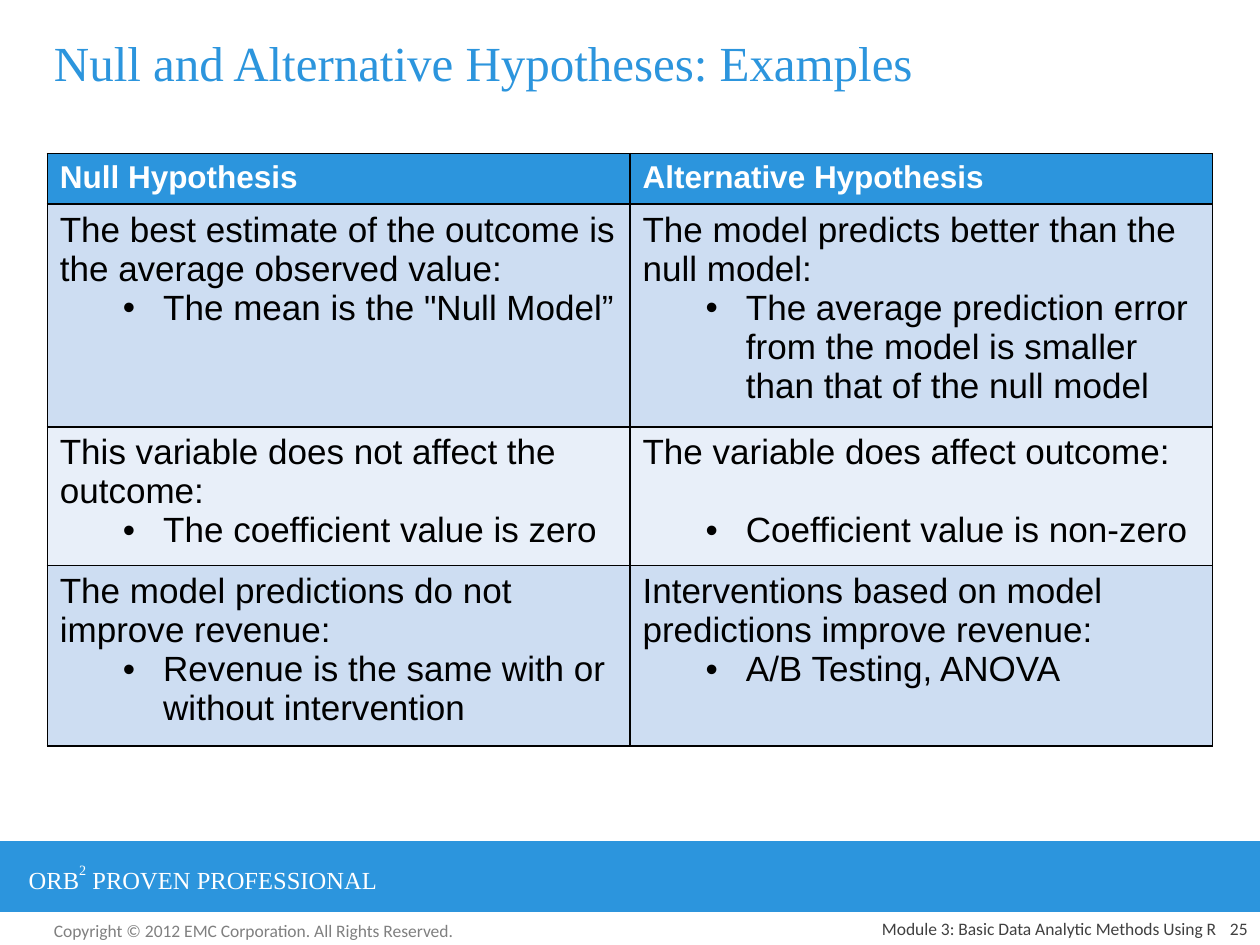
from dataclasses import dataclass

from lxml.etree import SubElement
from pptx import Presentation
from pptx.dml.color import RGBColor
from pptx.enum.shapes import MSO_SHAPE as Shape
from pptx.enum.text import MSO_ANCHOR as Anchor, PP_ALIGN as Align
from pptx.oxml import parse_xml
from pptx.oxml.ns import nsdecls, qn
from pptx.util import Inches, Pt

COLORS = {
    "brand": "2C95DD", "white": "FFFFFF", "black": "000000",
    "copyright": "808080", "footer": "404040",
    "band_dark": "CDDDF2", "band_light": "E8EFF9",
}
SERIF, SANS, FOOTER_FONT = "Times New Roman", "Arial", "Calibri"
BULLET_LEFT, BULLET_HANG = Inches(0.82), Inches(0.32)

HEADINGS = ("Null Hypothesis", "Alternative Hypothesis")
# Each cell: statement, its example, space before the example in points
EXAMPLES = [
    (("The best estimate of the outcome is the average observed value:",
      "The mean is the \"Null Model”", 0),
     ("The model predicts better than the null model:",
      "The average prediction error from the model is smaller than "
      "that of the null model", 0)),
    (("This variable does not affect the outcome:",
      "The coefficient value is zero", 0),
     ("The variable does affect outcome:",
      "Coefficient value is non-zero", 22)),
    (("The model predictions do not improve revenue:",
      "Revenue is the same with or without intervention", 0),
     ("Interventions based on model predictions improve revenue:",
      "A/B Testing, ANOVA", 0)),
]
ROW_HEIGHTS = (0.38, 1.65, 1.03, 1.34)


@dataclass
class Box:
    left: int
    top: int
    width: int
    height: int

    def inner(self, x, y, w, h):
        """Box inside this one, given as shares of its width and height."""
        return Box(int(self.left + x * self.width), int(self.top + y * self.height),
                   int(w * self.width), int(h * self.height))

    def edges(self):
        return self.left, self.top, self.width, self.height


def rgb(name):
    return RGBColor.from_string(COLORS[name])


def style(paragraph, face, size, color, bold=False):
    font = paragraph.font
    font.name, font.size, font.bold = face, Pt(size), bold
    font.color.rgb = rgb(color)


def add_line(slide, box, text, face, size, color, align=Align.LEFT, anchor=Anchor.MIDDLE):
    frame = slide.shapes.add_textbox(*box.edges()).text_frame
    frame.word_wrap = True
    frame.vertical_anchor = anchor
    paragraph = frame.paragraphs[0]
    paragraph.text = text
    paragraph.alignment = align
    style(paragraph, face, size, color)
    return paragraph


def add_brand_band(slide, box):
    band = slide.shapes.add_shape(Shape.RECTANGLE, *box.edges())
    band.shadow.inherit = False
    band.fill.solid()
    band.fill.fore_color.rgb = rgb("brand")
    band.line.fill.background()
    label = add_line(slide, box.inner(0.013, 0.22, 0.4, 0.6), "ORB", SERIF, 14, "white")
    superscript = label.add_run()
    superscript.text = "2"
    superscript.font._element.set("baseline", "56000")
    label.add_run().text = " PROVEN PROFESSIONAL"


def add_footer(slide, box):
    add_line(slide, box.inner(0.033, 0, 0.35, 1.08),
             "Copyright © 2012 EMC Corporation. All Rights Reserved.",
             FOOTER_FONT, 10, "copyright")
    for x, width, text in ((0.517, 0.458, "Module 3: Basic Data Analytic Methods Using R"),
                           (0.95, 0.05, "25")):
        add_line(slide, box.inner(x, 0, width, 1), text, FOOTER_FONT, 10, "footer",
                 Align.RIGHT, Anchor.BOTTOM)


def finish_cell(cell, fill):
    """Fill the cell and draw its black one-point borders."""
    cell.fill.solid()
    cell.fill.fore_color.rgb = rgb(fill)
    properties = cell._tc.get_or_add_tcPr()
    for index, side in enumerate("LRTB"):
        properties.insert(index, parse_xml(
            f'<a:ln{side} {nsdecls("a")} w="12700"><a:solidFill>'
            f'<a:srgbClr val="{COLORS["black"]}"/></a:solidFill></a:ln{side}>'))


def fill_example(cell, statement, example, gap):
    frame = cell.text_frame
    frame.text = statement
    bullet = frame.add_paragraph()
    bullet.text = example
    bullet.level = 1
    bullet.space_before = Pt(gap)
    properties = bullet._p.get_or_add_pPr()
    properties.set("marL", str(BULLET_LEFT))
    properties.set("indent", str(-BULLET_HANG))
    SubElement(properties, qn("a:buFont")).set("typeface", SANS)
    SubElement(properties, qn("a:buChar")).set("char", "•")
    for paragraph in frame.paragraphs:
        style(paragraph, SANS, 20, "black")


def add_hypotheses(slide, box):
    table = slide.shapes.add_table(len(ROW_HEIGHTS), len(HEADINGS), *box.edges()).table
    for row, share in zip(table.rows, ROW_HEIGHTS):
        row.height = int(box.height * share / sum(ROW_HEIGHTS))
    for column, heading in enumerate(HEADINGS):
        cell = table.cell(0, column)
        cell.text = heading
        style(cell.text_frame.paragraphs[0], SANS, 18, "white", bold=True)
        finish_cell(cell, "brand")
    for number, examples in enumerate(EXAMPLES, start=1):
        for column, example in enumerate(examples):
            cell = table.cell(number, column)
            fill_example(cell, *example)
            finish_cell(cell, "band_dark" if number % 2 else "band_light")


def main():
    deck = Presentation()
    deck.slide_width, deck.slide_height = Inches(10), Inches(7.5)
    slide = deck.slides.add_slide(deck.slide_layouts[6])
    page = Box(0, 0, deck.slide_width, deck.slide_height)
    add_brand_band(slide, page.inner(0, 0.89, 1, 0.075))
    add_footer(slide, page.inner(0, 0.967, 1, 0.033))
    add_line(slide, page.inner(0.033, 0.01, 0.925, 0.11),
             "Null and Alternative Hypotheses: Examples", SERIF, 28, "brand")
    add_hypotheses(slide, page.inner(0.0375, 0.1625, 0.925, 0.587))
    deck.save("out.pptx")


if __name__ == "__main__":
    main()
